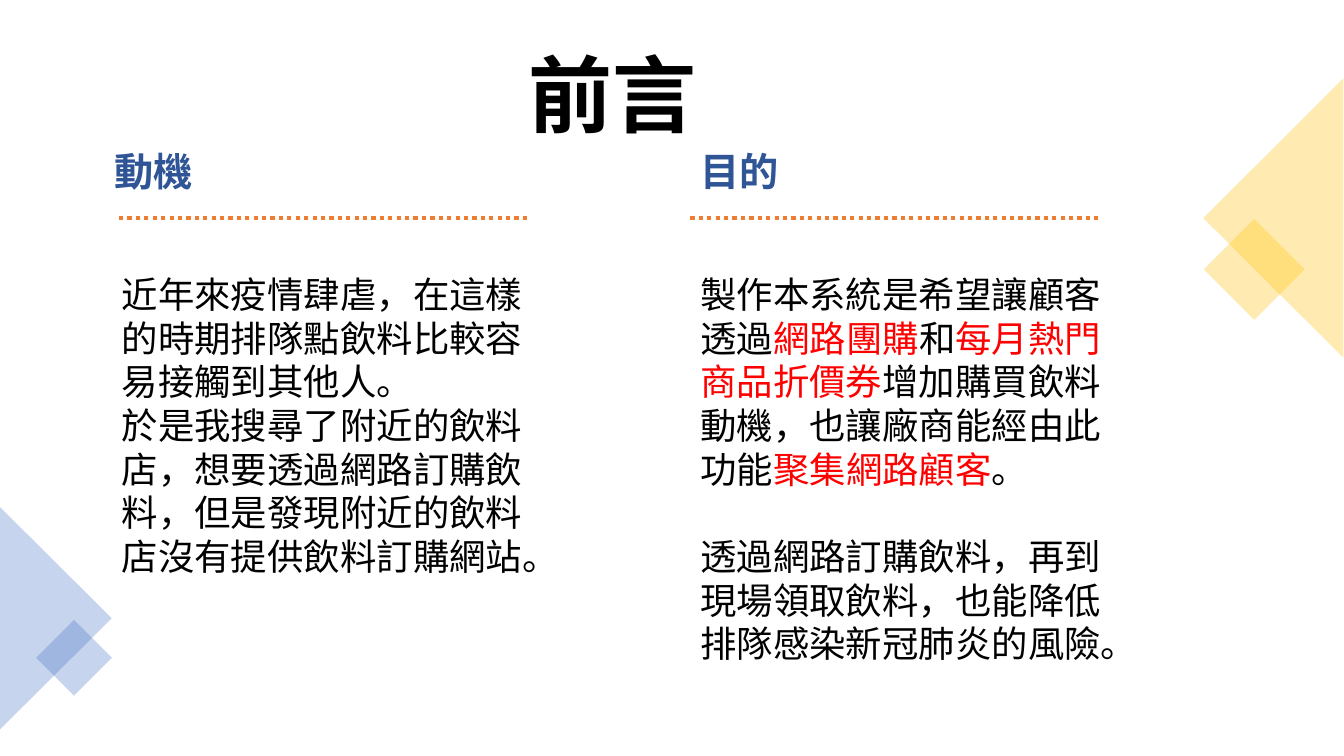
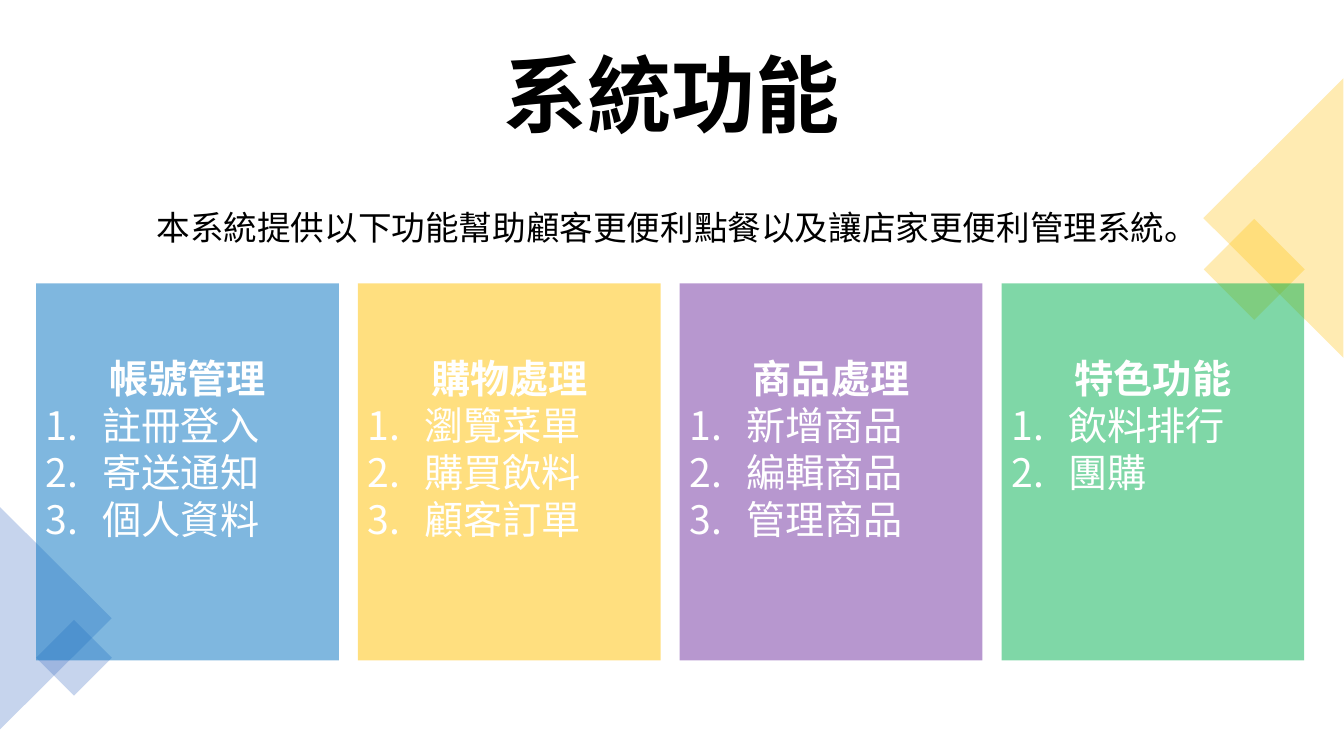
from pptx import Presentation
from pptx.dml.color import RGBColor
from pptx.enum import dml, shapes, text
from pptx.oxml import ns
from pptx.util import Cm, Pt
from lxml import etree

FONT = "Noto Sans CJK SC"
BLACK, WHITE, RED = "000000", "FFFFFF", "FF0000"
NAVY, ORANGE, GOLD, BLUE = "2F5597", "ED7D31", "FFC000", "4472C4"
LINE_HEIGHT = 1.2
CENTER = text.PP_ALIGN.CENTER
SQUARE = shapes.MSO_SHAPE.RECTANGLE
TRIANGLE = shapes.MSO_SHAPE.ISOSCELES_TRIANGLE

# preset, left, top, width, height (cm), rotation, colour
CORNERS = [
    (SQUARE, 30.71, 5.89, 1.8, 1.8, 45, GOLD),
    (TRIANGLE, 28.57, 3.73, 7.04, 3.53, 270, GOLD),
    (TRIANGLE, -1.4, 14.17, 5.61, 2.82, 90, BLUE),
    (SQUARE, 1.19, 15.9, 1.35, 1.35, 45, BLUE),
]

MOTIVE = [
    "近年來疫情肆虐，在這樣的時期排隊點飲料比較容易接觸到其他人。",
    "於是我搜尋了附近的飲料店，想要透過網路訂購飲料，但是發現附近的飲料店沒有提供飲料訂購網站。",
]
PURPOSE = [
    ("製作本系統是希望讓顧客透過", BLACK),
    ("網路團購", RED),
    ("和", BLACK),
    ("每月熱門商品折價券", RED),
    ("增加購買飲料動機，也讓廠商能經由此功能", BLACK),
    ("聚集網路顧客", RED),
    ("。", BLACK),
]
BENEFIT = "透過網路訂購飲料，再到現場領取飲料，也能降低排隊感染新冠肺炎的風險。"

FEATURES = [
    ("帳號管理", "0070C0", ["註冊登入", "寄送通知", "個人資料"]),
    ("購物處理", GOLD, ["瀏覽菜單", "購買飲料", "顧客訂單"]),
    ("商品處理", "7030A0", ["新增商品", "編輯商品", "管理商品"]),
    ("特色功能", "00B050", ["飲料排行", "團購"]),
]


def rgb(color):
    return RGBColor.from_string(color)


def number_paragraph(paragraph, indent=Cm(1.43)):
    properties = paragraph._p.get_or_add_pPr()
    properties.set("marL", str(indent))
    properties.set("indent", str(-indent))
    etree.SubElement(properties, ns.qn("a:buAutoNum"), type="arabicPeriod")


def write(frame, content, size=26, color=BLACK, bold=False,
          align=text.PP_ALIGN.LEFT, tight=1, before=0, numbered=False):
    """Add a paragraph; content is a string or a list of (string, colour)."""
    paragraph = frame.paragraphs[0]
    if paragraph.runs:
        paragraph = frame.add_paragraph()
    if numbered:
        number_paragraph(paragraph)
    paragraph.alignment = align
    paragraph.line_spacing = Pt(round(size * LINE_HEIGHT * tight, 1))
    paragraph.space_before = Pt(before)
    paragraph.font.size = Pt(size)
    pieces = [(content, color)] if isinstance(content, str) else content
    for words, words_color in pieces:
        run = paragraph.add_run()
        run.text = words
        run.font.name = FONT
        run.font.size = Pt(size)
        run.font.bold = bold
        run.font.color.rgb = rgb(words_color)
        east_asian = etree.SubElement(run._r.get_or_add_rPr(), ns.qn("a:ea"))
        east_asian.set("typeface", FONT)


def add_text_box(slide, left, top, width, height):
    frame = slide.shapes.add_textbox(
        Cm(left), Cm(top), Cm(width), Cm(height)).text_frame
    frame.word_wrap = True
    return frame


def add_tinted(slide, preset, left, top, width, height, color, opacity):
    """Add a borderless shape with a see-through fill; opacity in percent."""
    shape = slide.shapes.add_shape(
        preset, Cm(left), Cm(top), Cm(width), Cm(height))
    shape.shadow.inherit = False
    shape.line.fill.background()
    shape.fill.solid()
    shape.fill.fore_color.rgb = rgb(color)
    fill_color = shape._element.spPr.find(
        ns.qn("a:solidFill") + "/" + ns.qn("a:srgbClr"))
    etree.SubElement(fill_color, ns.qn("a:alpha"), val=str(opacity * 1000))
    return shape


def add_dotted_rule(slide, left, top, width):
    rule = slide.shapes.add_connector(
        shapes.MSO_CONNECTOR.STRAIGHT,
        Cm(left), Cm(top), Cm(left + width), Cm(top))
    rule.line.color.rgb = rgb(ORANGE)
    rule.line.width = Pt(3)
    rule.line.dash_style = dml.MSO_LINE.ROUND_DOT
    etree.SubElement(rule._element.spPr, ns.qn("a:effectLst"))


def add_slide(deck, heading, left, width):
    """Start a slide with its title and corner ornaments."""
    slide = deck.slides.add_slide(deck.slide_layouts[5])
    title = slide.shapes.title
    title.left, title.top = Cm(left), Cm(0.89)
    title.width, title.height = Cm(width), Cm(3.15)
    frame = title.text_frame
    frame.auto_size = text.MSO_AUTO_SIZE.NONE
    frame.vertical_anchor = text.MSO_ANCHOR.MIDDLE
    write(frame, heading, size=60, bold=True, align=CENTER, tight=0.9)
    for preset, x, y, w, h, rotation, color in CORNERS:
        ornament = add_tinted(slide, preset, x, y, w, h, color, 30)
        ornament.rotation = rotation
    return slide


def add_column(slide, heading, heading_left, rule_left, body_left):
    """Add a heading over a dotted rule and return the frame of its body."""
    frame = add_text_box(slide, heading_left, 3.71, 10.65, 1.96)
    write(frame, heading, size=28, color=NAVY, bold=True, tight=0.9)
    add_dotted_rule(slide, rule_left, 5.49, 10.29)
    return add_text_box(slide, body_left, 6.73, 10.65, 8.03)


def add_feature_card(slide, left, heading, color, items):
    card = add_tinted(slide, SQUARE, left, 7.14, 7.63, 9.5, color, 50)
    frame = card.text_frame
    frame.word_wrap = True
    frame.vertical_anchor = text.MSO_ANCHOR.TOP
    frame.margin_top = Cm(1.78)
    write(frame, heading, size=28, color=WHITE, bold=True, align=CENTER)
    for item in items:
        write(frame, item, size=28, color=WHITE, numbered=True)


def build_introduction(deck):
    slide = add_slide(deck, "前言", 2.82, 25.22)
    motive = add_column(slide, "動機", 2.64, 3, 2.82)
    for sentence in MOTIVE:
        write(motive, sentence)
    purpose = add_column(slide, "目的", 17.4, 17.4, 17.4)
    write(purpose, PURPOSE)
    write(purpose, BENEFIT, before=31.2)


def build_features(deck):
    slide = add_slide(deck, "系統功能", 1.78, 30.3)
    summary = add_text_box(slide, 1.73, 5.08, 30.68, 1.27)
    write(summary, "本系統提供以下功能幫助顧客更便利點餐以及讓店家更便利管理系統。",
          size=24, align=CENTER)
    for index, feature in enumerate(FEATURES):
        add_feature_card(slide, 0.91 + 8.11 * index, *feature)


def main():
    deck = Presentation()
    deck.slide_width, deck.slide_height = Cm(33.87), Cm(19.05)
    build_introduction(deck)
    build_features(deck)
    deck.save("out.pptx")


if __name__ == "__main__":
    main()
